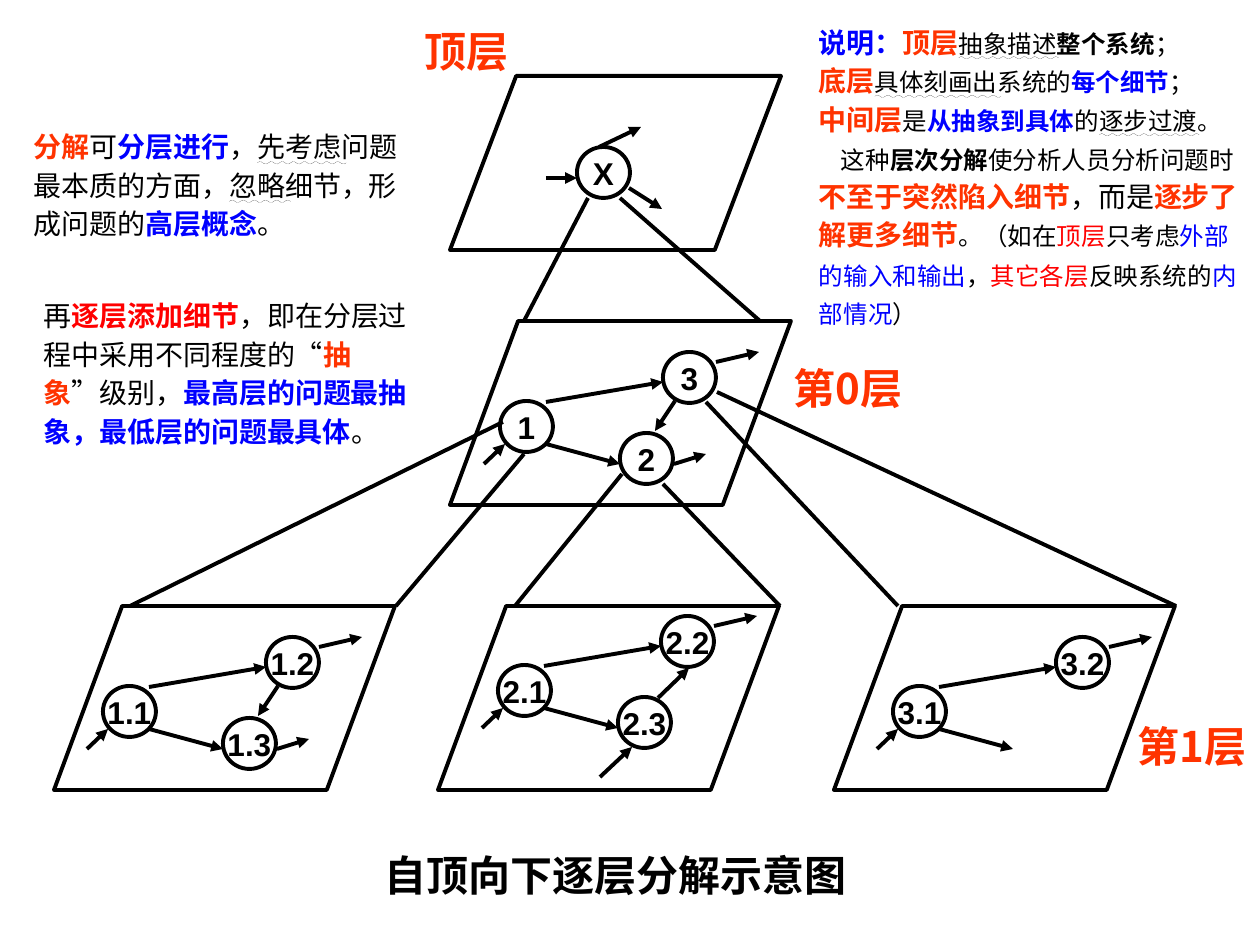
from lxml.etree import SubElement
from pptx import Presentation
from pptx.dml.color import RGBColor
from pptx.enum.shapes import MSO_CONNECTOR, MSO_SHAPE
from pptx.enum.text import MSO_ANCHOR, MSO_AUTO_SIZE, MSO_UNDERLINE, PP_ALIGN
from pptx.oxml.ns import qn
from pptx.util import Pt

SCALE = 914400 / 126
COLORS = {"black": "000000", "orange": "FF3300", "red": "FF0000", "blue": "0000FF"}
LATIN, HAN = "Arial", "Noto Sans CJK SC"
NODE = (53, 51)
PANEL = (341, 184)

STYLES = {
    "plain": ("black", {"bold": False}),
    "strong": ("black", {"bold": True}),
    "wave": ("black", {"bold": False, "underline": MSO_UNDERLINE.WAVY_LINE}),
    "key": ("orange", {"bold": True}),
    "term": ("blue", {"bold": True}),
    "alert": ("red", {"bold": True}),
    "red": ("red", {"bold": False}),
    "blue": ("blue", {"bold": False}),
}

# Offsets are measured from the first node of a level.
SPOTS = [(0, 0), (163, -49), (120, 32)]
FLOWS = {
    "in": (-16, 63, 5, 43),
    "upper": (46, 1, 163, -19),
    "lower": (46, 43, 120, 63),
    "out": (216, -39, 259, -49),
    "down": (175, 0, 155, 30),
    "exit": (174, 63, 206, 53),
    "feed": (102, 112, 134, 82),
    "rise": (160, 33, 191, 3),
}
BASE = ["in", "upper", "lower", "out"]
LEVELS = [
    ((450, 321), (500, 401), ["1", "3", "2"], BASE + ["down", "exit"]),
    ((54, 606), (103, 686), ["1.1", "1.2", "1.3"], BASE + ["down", "exit"]),
    ((438, 606), (498, 665), ["2.1", "2.2", "2.3"], BASE + ["feed", "rise"]),
    ((834, 606), (893, 686), ["3.1", "3.2"], BASE),
]
TOP_FLOWS = [(546, 178, 577, 178), (599, 147, 641, 127), (629, 188, 662, 209)]
ZOOMS = [
    (588, 198, 524, 321), (620, 198, 760, 321),
    (503, 422, 130, 606), (524, 454, 396, 606),
    (622, 474, 515, 606), (663, 484, 780, 606),
    (706, 402, 898, 606), (717, 392, 1176, 606),
]
LABELS = [
    ("顶层", LATIN, (422, 26, 89, 50)),
    ("第0层", HAN, (789, 363, 118, 50)),
    ("第1层", HAN, (1137, 721, 110, 50)),
]
SPLIT = [[
    ("key", 16, "分解"), ("plain", 16, "可"), ("term", 16, "分层进行"),
    ("plain", 16, "，"), ("wave", 16, "先考虑"), ("plain", 16, "问题最本质的方面，"),
    ("wave", 16, "忽略"), ("plain", 16, "细节，形成问题的"),
    ("term", 16, "高层概念"), ("plain", 16, "。"),
]]
DETAIL = [[
    ("plain", 16, "再"), ("alert", 16, "逐层添加细节"),
    ("plain", 16, "，即在分层过程中采用不同程度的“"), ("key", 16, "抽象"),
    ("plain", 16, "”级别，"), ("term", 16, "最高层的问题最抽象，最低层的问题最具体"),
    ("plain", 16, "。"),
]]
REMARK = [
    [("term", 16, "说明："), ("key", 16, "顶层"), ("wave", 14, "抽象描述"),
     ("strong", 14, "整个系统"), ("plain", 14, "；")],
    [("key", 16, "底层"), ("wave", 14, "具体刻画出"), ("plain", 14, "系统的"),
     ("term", 14, "每个细节"), ("plain", 14, "；")],
    [("key", 16, "中间层"), ("plain", 14, "是"), ("term", 14, "从抽象到具体"),
     ("plain", 14, "的"), ("wave", 14, "逐步过渡"), ("plain", 14, "。")],
    [("plain", 14, "这种"), ("strong", 14, "层次分解"),
     ("plain", 14, "使分析人员分析问题时"), ("key", 16, "不至于突然陷入细节"),
     ("plain", 16, "，而是"), ("key", 16, "逐步了解更多细节"),
     ("plain", 14, "。（如在"), ("red", 14, "顶层"), ("plain", 14, "只考虑"),
     ("blue", 14, "外部的输入和输出"), ("plain", 14, "，"), ("red", 14, "其它各层"),
     ("plain", 14, "反映系统的"), ("blue", 14, "内部情况"), ("plain", 14, "）")],
]


def px(*vals):
    """Turn pixel lengths into EMU."""
    return [round(val * SCALE) for val in vals]


def apply(item, **vals):
    """Set each given attribute on an item."""
    for name, val in vals.items():
        setattr(item, name, val)


def ink(line):
    """Give a line the common black stroke."""
    line.color.rgb = RGBColor.from_string(COLORS["black"])
    line.width = Pt(2.25)


def write(para, text, style, size, face=HAN):
    """Add one styled run to a paragraph."""
    run = para.add_run()
    run.text = text
    color, form = STYLES[style]
    apply(run.font, name=face, size=Pt(size), **form)
    run.font.color.rgb = RGBColor.from_string(COLORS[color])
    SubElement(run.font._element, qn("a:ea"), typeface=HAN)


def frame(shape, wrap=True, anchor=MSO_ANCHOR.TOP):
    """Prepare a text frame without margins."""
    body = shape.text_frame
    apply(body, margin_left=0, margin_right=0, margin_top=0, margin_bottom=0,
          auto_size=MSO_AUTO_SIZE.NONE, word_wrap=wrap, vertical_anchor=anchor)
    return body


def label(shape, text, style, size, face, **form):
    """Write one centred line into a shape."""
    para = frame(shape, **form).paragraphs[0]
    para.alignment = PP_ALIGN.CENTER
    write(para, text, style, size, face)


def outline(slide, kind, box):
    """Draw an unfilled preset shape."""
    shape = slide.shapes.add_shape(kind, *px(*box))
    shape.shadow.inherit = False
    shape.fill.background()
    ink(shape.line)
    return shape


def node(slide, x, y, text):
    """Draw a numbered process circle."""
    shape = outline(slide, MSO_SHAPE.FLOWCHART_CONNECTOR, (x, y, *NODE))
    label(shape, text, "strong", 18, LATIN, wrap=False, anchor=MSO_ANCHOR.MIDDLE)


def link(slide, ends, arrow=False):
    """Draw a straight line, with an arrowhead if asked."""
    wire = slide.shapes.add_connector(MSO_CONNECTOR.STRAIGHT, *px(*ends))
    ink(wire.line)
    if arrow:
        SubElement(wire.line._get_or_add_ln(), qn("a:tailEnd"), type="triangle")
    SubElement(wire._element.spPr, qn("a:effectLst"))


def level(slide, spot, start, names, flows):
    """Draw a panel with its nodes and data flows."""
    x, y = start
    outline(slide, MSO_SHAPE.FLOWCHART_DATA, (*spot, *PANEL))
    for name, (dx, dy) in zip(names, SPOTS):
        node(slide, x + dx, y + dy, name)
    for flow in flows:
        a, b, c, d = FLOWS[flow]
        link(slide, (x + a, y + b, x + c, y + d), True)


def note(slide, box, paras, anchor=MSO_ANCHOR.TOP):
    """Add a text box of mixed runs and return its text frame."""
    body = frame(slide.shapes.add_textbox(*px(*box)), anchor=anchor)
    for i, runs in enumerate(paras):
        para = body.add_paragraph() if i else body.paragraphs[0]
        para.line_spacing = Pt(22)
        for style, size, text in runs:
            write(para, text, style, size)
    return body


def main():
    """Build the slide and save it."""
    deck = Presentation()
    deck.slide_width, deck.slide_height = px(1260, 945)
    slide = deck.slides.add_slide(deck.slide_layouts[5])

    title = slide.shapes.title
    left, top, width, height = px(362, 849, 507, 50)
    apply(title, left=left, top=top, width=width, height=height)
    label(title, "自顶向下逐层分解示意图", "strong", 24, LATIN)

    outline(slide, MSO_SHAPE.FLOWCHART_DATA, (450, 76, 331, 174))
    node(slide, 577, 147, "X")
    for ends in TOP_FLOWS:
        link(slide, ends, True)
    for item in LEVELS:
        level(slide, *item)
    for ends in ZOOMS:
        link(slide, ends)

    for text, face, box in LABELS:
        label(slide.shapes.add_textbox(*px(*box)), text, "key", 24, face)
    note(slide, (34, 125, 377, 117), SPLIT)
    note(slide, (44, 294, 367, 155), DETAIL)
    remark = note(slide, (819, 19, 427, 311), REMARK, MSO_ANCHOR.MIDDLE)
    remark.paragraphs[-1]._p.get_or_add_pPr().set("indent", str(px(22)[0]))
    deck.save("out.pptx")


if __name__ == "__main__":
    main()
